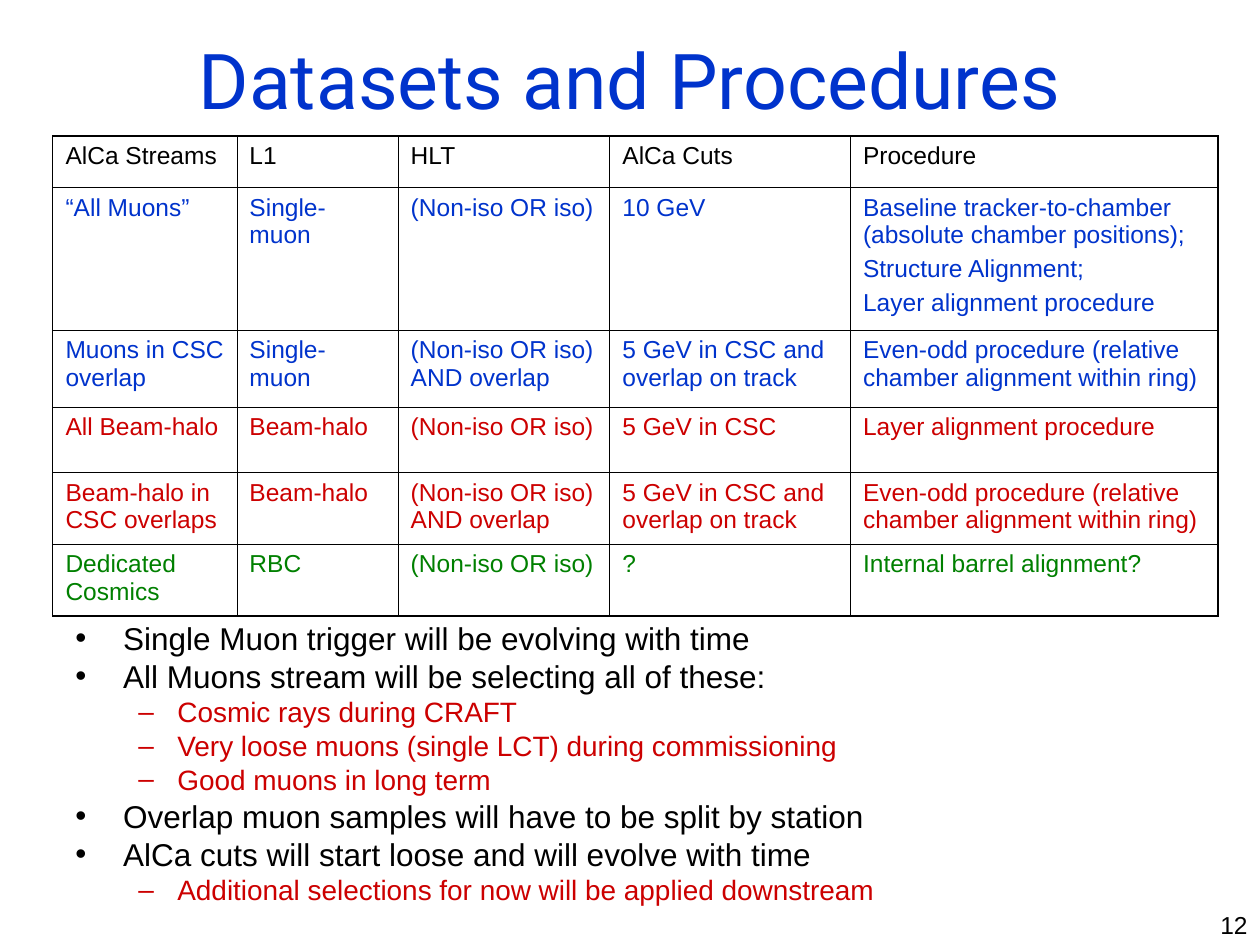
import pptx
import pptx.dml.color
import pptx.enum.text
import pptx.oxml
import pptx.oxml.ns
import pptx.util
from lxml import etree

Inches, Pt = pptx.util.Inches, pptx.util.Pt
ALIGN, ANCHOR = pptx.enum.text.PP_ALIGN, pptx.enum.text.MSO_ANCHOR

BLACK, BLUE, RED, GREEN = "000000", "0033CC", "CC0000", "008000"
TITLE = "Datasets and Procedures"
PAGE_NUMBER = "12"

# Each row: colour, height, cell texts (a line break starts a new paragraph)
ROWS = [
    (BLACK, 0.41, ["AlCa Streams", "L1", "HLT", "AlCa Cuts", "Procedure"]),
    (BLUE, 1.13, ["“All Muons”", "Single-muon", "(Non-iso OR iso)", "10 GeV",
                  "Baseline tracker-to-chamber (absolute chamber positions);\n"
                  "Structure Alignment;\nLayer alignment procedure"]),
    (BLUE, 0.61, ["Muons in CSC overlap", "Single-muon",
                  "(Non-iso OR iso) AND overlap",
                  "5 GeV in CSC and overlap on track",
                  "Even-odd procedure (relative chamber alignment within ring)"]),
    (RED, 0.52, ["All Beam-halo", "Beam-halo", "(Non-iso OR iso)",
                 "5 GeV in CSC", "Layer alignment procedure"]),
    (RED, 0.57, ["Beam-halo in CSC overlaps", "Beam-halo",
                 "(Non-iso OR iso) AND overlap",
                 "5 GeV in CSC and overlap on track",
                 "Even-odd procedure (relative chamber alignment within ring)"]),
    (GREEN, 0.57, ["Dedicated Cosmics", "RBC", "(Non-iso OR iso)", "?",
                   "Internal barrel alignment?"]),
]
COLUMN_WIDTHS = [1.46, 1.28, 1.68, 1.91, 2.92]
INNER, LEFT_EDGE, OUTER = 0.45, 0.75, 1.08

# Each note: level, text
NOTES = [
    (0, "Single Muon trigger will be evolving with time"),
    (0, "All Muons stream will be selecting all of these:"),
    (1, "Cosmic rays during CRAFT"),
    (1, "Very loose muons (single LCT) during commissioning"),
    (1, "Good muons in long term"),
    (0, "Overlap muon samples will have to be split by station"),
    (0, "AlCa cuts will start loose and will evolve with time"),
    (1, "Additional selections for now will be applied downstream"),
]
NOTE_LEVELS = [
    {"bullet": "•", "size": 18, "color": BLACK, "left": 0.38, "hang": 0.38, "before": 4.5},
    {"bullet": "–", "size": 16, "color": RED, "left": 0.81, "hang": 0.31, "before": 4},
]


def rgb(color):
    return pptx.dml.color.RGBColor.from_string(color)


def write(paragraph, text, size, color, font="Arial", **formats):
    """Add one run of text and apply the paragraph formats."""
    run = paragraph.add_run()
    run.text = text
    for name, value in {"size": Pt(size), "name": font}.items():
        setattr(run.font, name, value)
    run.font.color.rgb = rgb(color)
    for name, value in formats.items():
        setattr(paragraph, name, value)


def next_paragraph(frame, index):
    return frame.add_paragraph() if index else frame.paragraphs[0]


def add_text_frame(slide, left, top, width, height, anchor=ANCHOR.TOP):
    box = slide.shapes.add_textbox(*map(Inches, (left, top, width, height)))
    box.text_frame.word_wrap = True
    box.text_frame.vertical_anchor = anchor
    return box.text_frame


def add_element(parent, tag, **attributes):
    element = etree.SubElement(parent, pptx.oxml.ns.qn(tag))
    for name, value in attributes.items():
        element.set(name, str(value))
    return element


def set_bullet(paragraph, style):
    properties = paragraph._p.get_or_add_pPr()
    properties.set("marL", str(Inches(style["left"])))
    properties.set("indent", str(-Inches(style["hang"])))
    add_element(add_element(properties, "a:buClr"), "a:srgbClr", val=style["color"])
    add_element(properties, "a:buFont", typeface="Arial")
    add_element(properties, "a:buChar", char=style["bullet"])


def set_borders(cell, widths):
    properties = cell._tc.get_or_add_tcPr()
    for side, width in widths.items():
        line = add_element(properties, "a:ln" + side, w=Pt(width))
        add_element(add_element(line, "a:solidFill"), "a:srgbClr", val=BLACK)


def add_streams_table(slide):
    frame = slide.shapes.add_table(
        len(ROWS), len(COLUMN_WIDTHS), Inches(0.42), Inches(1.08),
        Inches(sum(COLUMN_WIDTHS)), Inches(sum(height for _, height, _ in ROWS)))
    table = frame.table
    for flag in ("first_row", "horz_banding"):
        setattr(table, flag, False)
    for column, width in zip(table.columns, COLUMN_WIDTHS):
        column.width = Inches(width)
    last_row, last_column = len(ROWS) - 1, len(COLUMN_WIDTHS) - 1
    for r, (color, height, texts) in enumerate(ROWS):
        table.rows[r].height = Inches(height)
        for c, text in enumerate(texts):
            cell = table.cell(r, c)
            set_borders(cell, {
                "L": INNER if c else LEFT_EDGE,
                "R": OUTER if c == last_column else INNER,
                "T": INNER if r else OUTER,
                "B": OUTER if r == last_row else INNER,
            })
            cell.fill.background()
            for i, line in enumerate(text.split("\n")):
                write(next_paragraph(cell.text_frame, i), line, 14, color,
                      space_before=Pt(3.5 if i else 0))


def add_notes_list(slide):
    frame = add_text_frame(slide, 0.5, 4.92, 9, 2.33)
    for i, (level, text) in enumerate(NOTES):
        style = NOTE_LEVELS[level]
        paragraph = next_paragraph(frame, i)
        set_bullet(paragraph, style)
        write(paragraph, text, style["size"], style["color"], level=level,
              line_spacing=0.8, space_before=Pt(style["before"] if i else 0))


def main():
    deck = pptx.Presentation()
    deck.slide_width, deck.slide_height = Inches(10), Inches(7.5)
    slide = deck.slides.add_slide(deck.slide_layouts[6])

    title = add_text_frame(slide, 0.5, 0, 9, 1.25, ANCHOR.MIDDLE)
    write(title.paragraphs[0], TITLE, 44, BLUE, "Roboto", alignment=ALIGN.CENTER)
    add_notes_list(slide)
    add_streams_table(slide)
    page = add_text_frame(slide, 7.67, 7.17, 2.33, 0.33)
    write(page.paragraphs[0], PAGE_NUMBER, 14, BLACK, alignment=ALIGN.RIGHT)

    deck.save("out.pptx")


if __name__ == "__main__":
    main()
